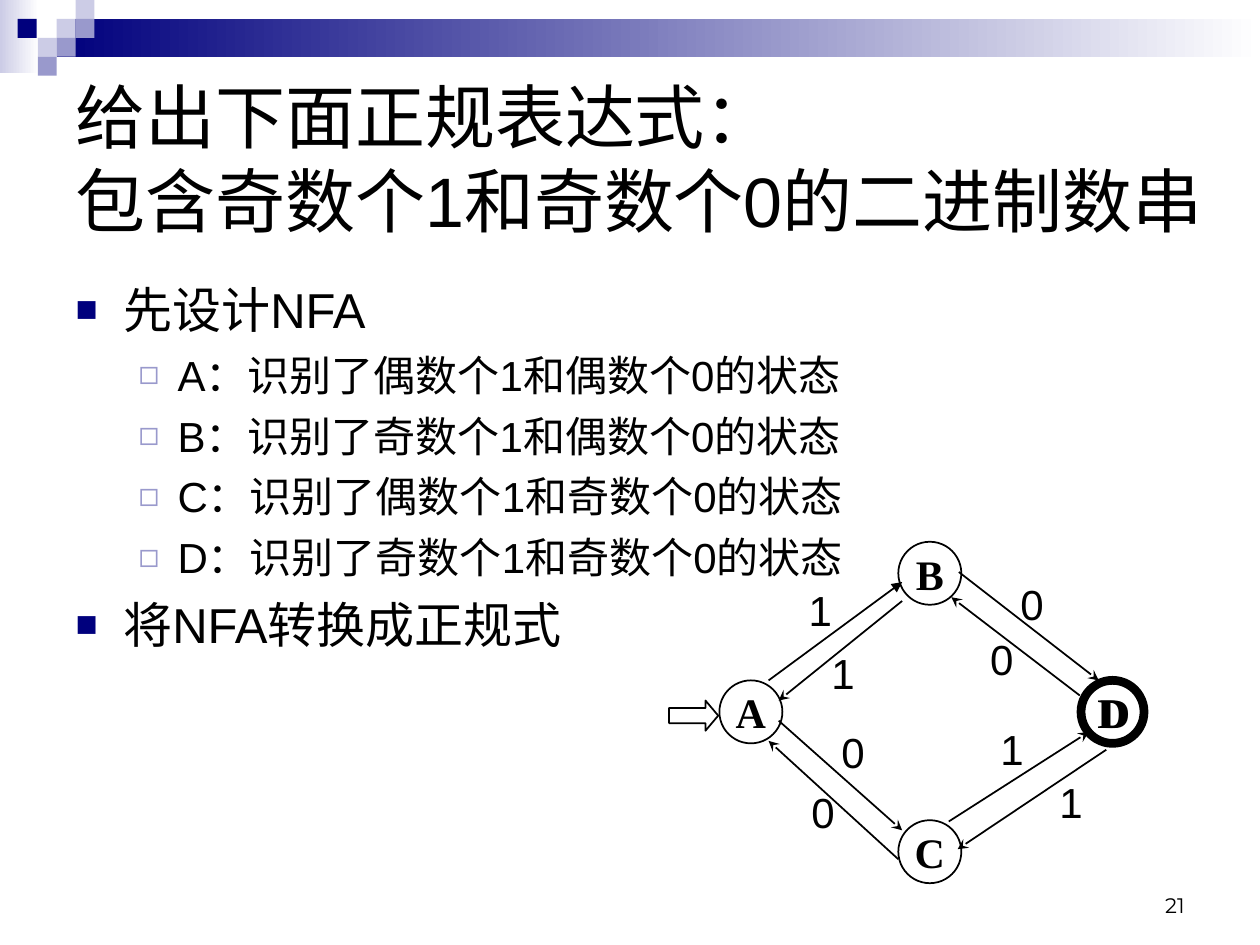
import pptx
import pptx.util
from dataclasses import dataclass
from lxml import etree
from pptx.dml.color import RGBColor
from pptx.enum.shapes import MSO_CONNECTOR, MSO_SHAPE
from pptx.enum.text import MSO_ANCHOR, MSO_AUTO_SIZE, PP_ALIGN
from pptx.oxml.ns import qn

PX = 9144  # 100 px to the inch


@dataclass(frozen=True)
class Theme:
    ink: str = "000000"
    navy: str = "00007D"
    violet: str = "9999CC"
    lilac: str = "CCCCE6"
    white: str = "FFFFFF"
    sans: str = "Arial"
    serif: str = "Times New Roman"
    number: str = "Montserrat"
    title: int = 40
    item: int = 28
    text: int = 24
    small: int = 12


THEME = Theme()
# level: text size, space before, left margin, indent, bullet, bullet colour, bullet percent
LEVELS = {
    0: (THEME.item, 7, 38, -38, "■", THEME.navy, 75),
    1: (THEME.text, 6, 81, -31, "◻", THEME.violet, 80),
}


def px(*lengths):
    return [length * PX for length in lengths]


def apply(target, **values):
    for name, value in values.items():
        setattr(target, name, value)


class SlideBuilder:
    def __init__(self, page, theme):
        self.page, self.shapes, self.theme = page, page.shapes, theme

    def add_span(self, para, text, size, font=None, bold=False):
        span = para.add_run()
        span.text = text
        apply(span.font, size=pptx.util.Pt(size), name=font or self.theme.sans, bold=bold)
        span.font.color.rgb = RGBColor.from_string(self.theme.ink)

    def shape(self, kind, at, fill=None, line=None):
        """Add a preset shape; a pair of colours as fill makes a gradient."""
        shape = self.shapes.add_shape(kind, *px(*at))
        shape.shadow.inherit = False
        if isinstance(fill, tuple):
            shape.fill.gradient()
            shape.fill.gradient_angle = 180
            for stop, colour in zip(shape.fill.gradient_stops, fill):
                stop.color.rgb = RGBColor.from_string(colour)
        elif fill:
            shape.fill.solid()
            shape.fill.fore_color.rgb = RGBColor.from_string(fill)
        else:
            shape.fill.background()
        if line:
            shape.line.color.rgb = RGBColor.from_string(self.theme.ink)
            shape.line.width = pptx.util.Pt(line)
        else:
            shape.line.fill.background()
        return shape

    def state(self, name, left, top, line=1):
        circle = self.shape(MSO_SHAPE.OVAL, (left, top, 50, 50), line=line)
        apply(circle.text_frame, word_wrap=False, vertical_anchor=MSO_ANCHOR.MIDDLE)
        para = circle.text_frame.paragraphs[0]
        para.alignment = PP_ALIGN.CENTER
        self.add_span(para, name, self.theme.text, self.theme.serif, True)

    def arrow(self, ends, head="stealth"):
        line = self.shapes.add_connector(MSO_CONNECTOR.STRAIGHT, *px(*ends))
        line.line.color.rgb = RGBColor.from_string(self.theme.ink)
        line.line.width = pptx.util.Pt(1)
        properties = line._element.spPr
        etree.SubElement(properties.find(qn("a:ln")), qn("a:tailEnd"), type=head)
        etree.SubElement(properties, qn("a:effectLst"))

    def label(self, text, at, size, font=None, **frame):
        box = self.shapes.add_textbox(*px(*at))
        apply(box.text_frame, **frame)
        para = box.text_frame.paragraphs[0]
        self.add_span(para, text, size, font)
        return para

    def placeholder(self, index, at, anchor):
        """Move a template placeholder into place, in front of what is already drawn."""
        holder = self.page.placeholders[index]
        apply(holder, **dict(zip(("left", "top", "width", "height"), px(*at))))
        apply(holder.text_frame, word_wrap=True, auto_size=MSO_AUTO_SIZE.NONE,
              vertical_anchor=anchor)
        self.shapes._spTree.append(holder._element)
        return holder.text_frame

    def title(self, lines, at):
        para = self.placeholder(0, at, MSO_ANCHOR.MIDDLE).paragraphs[0]
        para.alignment = PP_ALIGN.LEFT
        for number, line in enumerate(lines):
            if number:
                para.add_line_break()
            self.add_span(para, line, self.theme.title)

    def bullets(self, items, at):
        frame = self.placeholder(1, at, MSO_ANCHOR.TOP)
        for number, (level, text) in enumerate(items):
            para = frame.add_paragraph() if number else frame.paragraphs[0]
            size, before, margin, indent, mark, colour, percent = LEVELS[level]
            props = para._p.get_or_add_pPr()
            props.set("marL", str(margin * PX))
            props.set("indent", str(indent * PX))
            tint = etree.SubElement(props, qn("a:buClr"))
            etree.SubElement(tint, qn("a:srgbClr"), val=colour)
            etree.SubElement(props, qn("a:buSzPct"), val=str(percent * 1000))
            etree.SubElement(props, qn("a:buChar"), char=mark)
            apply(para, level=level, space_before=pptx.util.Pt(before if number else 0))
            self.add_span(para, text, size)


def main():
    deck = pptx.Presentation()
    apply(deck, slide_width=1000 * PX, slide_height=750 * PX)
    slide = SlideBuilder(deck.slides.add_slide(deck.slide_layouts[1]), THEME)

    slide.shape(MSO_SHAPE.RECTANGLE, (0, 0, 31, 58), (THEME.white, THEME.lilac))
    slide.shape(MSO_SHAPE.RECTANGLE, (45, 15, 955, 30), (THEME.white, THEME.navy))
    for left, top, colour in (
        (45, 15, THEME.lilac), (60, 0, THEME.lilac), (60, 15, THEME.violet),
        (30, 30, THEME.lilac), (14, 15, THEME.navy), (45, 30, THEME.violet),
        (30, 45, THEME.violet),
    ):
        slide.shape(MSO_SHAPE.RECTANGLE, (left, top, 15, 15), colour)

    slide.title(("给出下面正规表达式：", "包含奇数个1和奇数个0的二进制数串"), (50, 50, 938, 150))
    states = (("A", "偶", "偶"), ("B", "奇", "偶"), ("C", "偶", "奇"), ("D", "奇", "奇"))
    slide.bullets(
        [(0, "先设计NFA")]
        + [(1, f"{name}：识别了{ones}数个1和{zeros}数个0的状态") for name, ones, zeros in states]
        + [(0, "将NFA转换成正规式")],
        (50, 217, 900, 425),
    )

    for name, left, top, line in (
        ("A", 571, 540, 1), ("D", 860, 540, 1.5), ("B", 713, 430, 1), ("C", 713, 651, 1),
    ):
        slide.state(name, left, top, line)

    slide.arrow((610, 540, 716, 462), "triangle")
    for ends in (
        (716, 477, 618, 556), (761, 454, 872, 540), (857, 552, 755, 474), (878, 595, 760, 674),
        (753, 652, 864, 581), (713, 682, 610, 588), (618, 572, 716, 659),
    ):
        slide.arrow(ends)

    for digit, left, top in (
        ("1", 632, 459), ("0", 800, 454), ("1", 650, 509), ("1", 831, 611),
        ("0", 634, 619), ("0", 776, 498), ("1", 784, 569), ("0", 658, 572),
    ):
        slide.label(digit, (left, top, 38, 50), THEME.text,
                    word_wrap=False, auto_size=MSO_AUTO_SIZE.SHAPE_TO_FIT_TEXT)

    start = slide.shape(MSO_SHAPE.RIGHT_ARROW, (531, 556, 39, 24), line=1)
    start.adjustments[1] = 0.42
    slide.state("D", 858, 540, 5)  # heavy ring of the accepting state

    number = slide.label("21", (717, 683, 233, 50), THEME.small, THEME.number,
                         word_wrap=True, vertical_anchor=MSO_ANCHOR.BOTTOM)
    number.alignment = PP_ALIGN.RIGHT
    deck.save("out.pptx")


if __name__ == "__main__":
    main()
